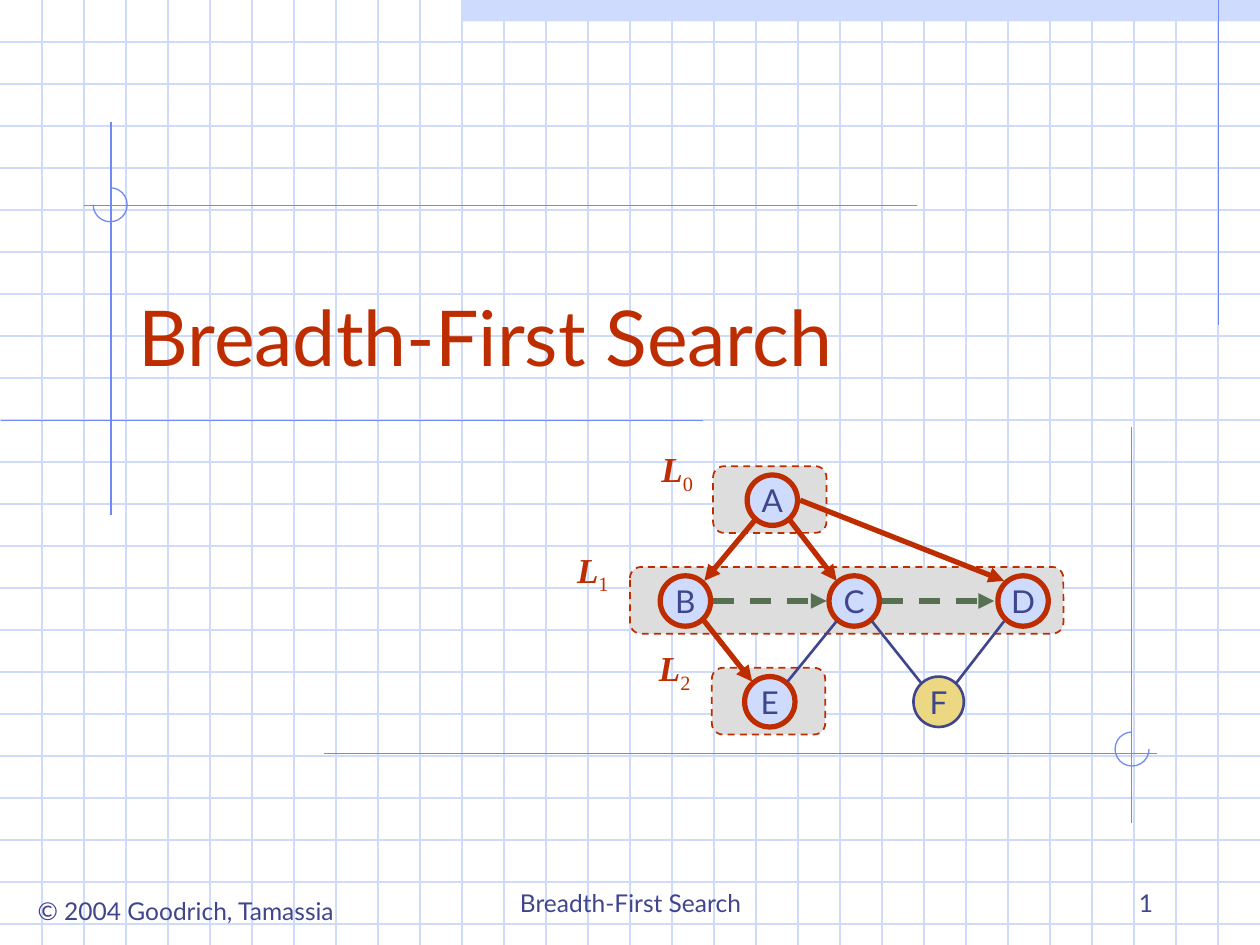
from dataclasses import dataclass

from lxml.etree import SubElement
from pptx import Presentation
from pptx.dml.color import RGBColor
from pptx.enum.dml import MSO_LINE
from pptx.enum.shapes import MSO_CONNECTOR, MSO_SHAPE
from pptx.enum.text import MSO_ANCHOR, MSO_AUTO_SIZE, PP_ALIGN
from pptx.oxml.ns import qn
from pptx.util import Inches, Pt

COLORS = {
    "grid": "CFDBFD",
    "rule": "6F89F7",
    "navy": "40458C",
    "red": "BE2D00",
    "green": "577052",
    "gray": "DDDDDD",
    "yellow": "ECD882",
}
WIDTH, HEIGHT = 10, 7.5
NODE_SIZE = 0.4
LABEL_FONT = {"name": "Times New Roman", "size": Pt(20)}


@dataclass
class Line:
    start: tuple[float, float]
    end: tuple[float, float]
    color: str = "rule"
    weight: float = 0.75
    dashed: bool = False
    arrow: bool = False


@dataclass
class Node:
    name: str
    left: float
    top: float
    fill: str = "grid"
    outline: str = "red"
    weight: float = 3


@dataclass
class Level:
    number: str
    band: tuple[float, float, float, float]
    label: tuple[float, float]


@dataclass
class Note:
    text: str
    place: tuple[float, float, float, float]
    align: PP_ALIGN
    anchor: MSO_ANCHOR = MSO_ANCHOR.BOTTOM
    wrap: bool = True


RULES = [
    Line((9.67, 0), (9.67, 2.58)),
    Line((0.88, 0.97), (0.88, 4.09)),
    Line((0.01, 3.34), (5.58, 3.34)),
    Line((0.67, 1.63), (7.28, 1.63)),
    Line((2.57, 5.98), (9.18, 5.98)),
    Line((8.98, 3.39), (8.98, 6.53)),
]
# Left, top, start angle and end angle, clockwise from the right
ARCS = [(0.74, 1.49, 270, 180), (8.85, 5.81, 0, 270)]
LEVELS = [
    Level("0", (5.66, 3.7, 0.9, 0.53), (5.12, 3.5)),
    Level("1", (5, 4.5, 3.44, 0.53), (4.45, 4.3)),
    Level("2", (5.65, 5.3, 0.9, 0.53), (5.1, 5.08)),
]
NODES = [
    Node("A", 5.93, 3.77),
    Node("B", 5.24, 4.57),
    Node("C", 6.58, 4.57),
    Node("D", 7.92, 4.57),
    Node("E", 5.91, 5.37),
    Node("F", 7.25, 5.37, "yellow", "navy", 1.5),
]
TREE_EDGES = [
    ((5.99, 4.13), (5.59, 4.61)),
    ((6.27, 4.13), (6.64, 4.61)),
    ((6.35, 3.97), (7.97, 4.61)),
    ((5.59, 4.93), (5.97, 5.41)),
]
CROSS_EDGES = [((5.66, 4.77), (6.56, 4.77)), ((7, 4.77), (7.89, 4.77))]
OPEN_EDGES = [
    ((6.25, 5.41), (6.64, 4.93)),
    ((7.59, 5.42), (7.97, 4.93)),
    ((6.92, 4.93), (7.31, 5.42)),
]
NOTES = [
    Note("© 2004 Goodrich, Tamassia", (0.12, 7.06, 2.71, 0.34),
         PP_ALIGN.CENTER, MSO_ANCHOR.TOP, False),
    Note("Breadth-First Search", (3.42, 6.83, 3.17, 0.5), PP_ALIGN.CENTER),
    Note("1", (7.17, 6.83, 2.08, 0.5), PP_ALIGN.RIGHT),
]


def rgb(name: str) -> RGBColor:
    return RGBColor.from_string(COLORS[name])


def inches(values: tuple) -> list:
    return [Inches(value) for value in values]


def add_span(para, text: str, color: str, formats: dict):
    span = para.add_run()
    span.text = text
    span.font.color.rgb = rgb(color)
    for key, value in formats.items():
        setattr(span.font, key, value)
    return span


def draw_line(page, line: Line) -> None:
    connector = page.shapes.add_connector(
        MSO_CONNECTOR.STRAIGHT, *inches(line.start + line.end))
    connector.line.color.rgb = rgb(line.color)
    connector.line.width = Pt(line.weight)
    if line.dashed:
        connector.line.dash_style = MSO_LINE.DASH
    if line.arrow:
        SubElement(connector.get_or_add_ln(), qn("a:tailEnd"), type="triangle")
    SubElement(connector.element.spPr, qn("a:effectLst"))


def draw_shape(page, kind, place: tuple, fill: str | None,
               outline: str | None, weight: float = 0.75):
    shape = page.shapes.add_shape(kind, *inches(place))
    shape.shadow.inherit = False
    if fill:
        shape.fill.solid()
        shape.fill.fore_color.rgb = rgb(fill)
    else:
        shape.fill.background()
    if outline:
        shape.line.color.rgb = rgb(outline)
        shape.line.width = Pt(weight)
    else:
        shape.line.fill.background()
    return shape


def draw_background(page) -> None:
    draw_shape(page, MSO_SHAPE.RECTANGLE, (3.67, 0, 6.33, 0.17), "grid", None)
    for step in range(1, 23):
        draw_line(page, Line((0, step / 3), (WIDTH, step / 3), "grid"))
    for step in range(1, 30):
        draw_line(page, Line((step / 3, 0), (step / 3, HEIGHT), "grid"))
    for rule in RULES:
        draw_line(page, rule)
    for left, top, *angles in ARCS:
        arc = draw_shape(page, MSO_SHAPE.ARC, (left, top, 0.27, 0.27), None, "rule")
        for index, angle in enumerate(angles):
            arc.adjustments[index] = angle * 0.6  # 60000 units a degree


def draw_band(page, level: Level) -> None:
    band = draw_shape(page, MSO_SHAPE.ROUNDED_RECTANGLE, level.band, "gray", "red", 1)
    band.line.dash_style = MSO_LINE.DASH


def draw_label(page, level: Level) -> None:
    box = page.shapes.add_textbox(*inches(level.label + (0.51, 0.48)))
    box.text_frame.word_wrap = True
    para = box.text_frame.paragraphs[0]
    para.alignment = PP_ALIGN.CENTER
    add_span(para, "L", "red", LABEL_FONT | {"bold": True, "italic": True})
    subscript = add_span(para, level.number, "red", LABEL_FONT)
    subscript._r.get_or_add_rPr().set("baseline", "-25000")


def draw_node(page, node: Node) -> None:
    place = (node.left, node.top, NODE_SIZE, NODE_SIZE)
    circle = draw_shape(page, MSO_SHAPE.OVAL, place, node.fill, node.outline, node.weight)
    circle.text_frame.word_wrap = False
    circle.text_frame.vertical_anchor = MSO_ANCHOR.MIDDLE
    para = circle.text_frame.paragraphs[0]
    para.alignment = PP_ALIGN.CENTER
    add_span(para, node.name, "navy", {"name": "Lato", "size": Pt(18)})


def draw_note(page, note: Note) -> None:
    box = page.shapes.add_textbox(*inches(note.place))
    box.text_frame.word_wrap = note.wrap
    box.text_frame.vertical_anchor = note.anchor
    para = box.text_frame.paragraphs[0]
    para.alignment = note.align
    add_span(para, note.text, "navy", {"name": "Lato", "size": Pt(14)})


def place_title(page) -> None:
    title = page.shapes.title
    title.left, title.top, title.width, title.height = inches((1, 1.83, 8.5, 1.25))
    title.text_frame.auto_size = MSO_AUTO_SIZE.NONE
    title.text_frame.vertical_anchor = MSO_ANCHOR.BOTTOM
    para = title.text_frame.paragraphs[0]
    para.alignment = PP_ALIGN.LEFT
    add_span(para, "Breadth-First Search", "red", {"name": "Lato", "size": Pt(44)})
    title.element.getparent().append(title.element)  # in front of the grid


def main() -> None:
    deck = Presentation()
    deck.slide_width, deck.slide_height = Inches(WIDTH), Inches(HEIGHT)
    page = deck.slides.add_slide(deck.slide_layouts[5])
    draw_background(page)
    place_title(page)
    edges = [Line(*ends, "red", 3, arrow=True) for ends in TREE_EDGES]
    edges += [Line(*ends, "green", 3, True, True) for ends in CROSS_EDGES]
    edges += [Line(*ends, "navy", 1.5) for ends in OPEN_EDGES]
    for draw, items in ((draw_band, LEVELS), (draw_node, NODES), (draw_line, edges),
                        (draw_label, LEVELS), (draw_note, NOTES)):
        for item in items:
            draw(page, item)
    deck.save("out.pptx")


if __name__ == "__main__":
    main()
